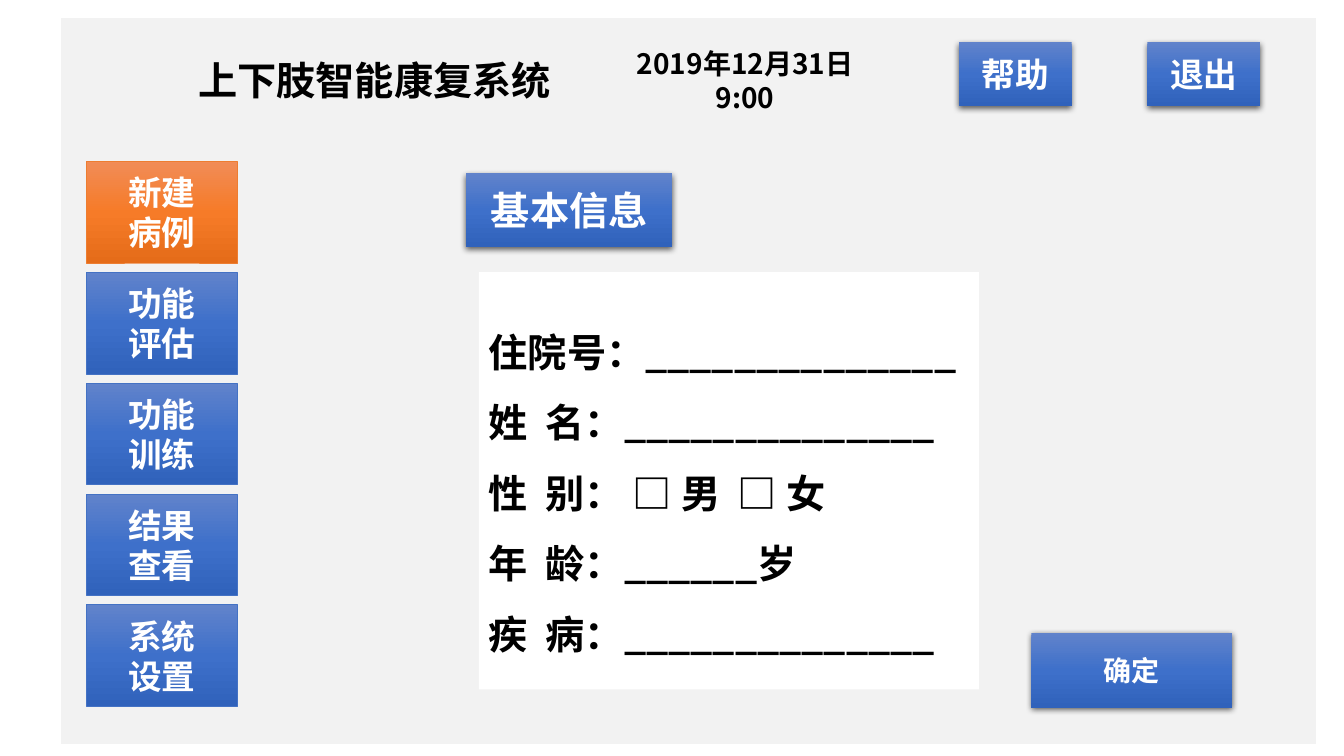
from copy import deepcopy
from dataclasses import dataclass

from lxml.etree import SubElement
from pptx import Presentation
from pptx.dml.color import RGBColor
from pptx.enum.shapes import MSO_SHAPE as Preset
from pptx.enum.text import MSO_ANCHOR as Anchor, PP_ALIGN as Align
from pptx.oxml.ns import qn
from pptx.util import Emu, Inches, Pt

FONT = "Noto Sans CJK SC"
BLACK, WHITE, PANEL_GREY = "000000", "FFFFFF", "F2F2F2"
BLUE = ("6183CB", "3E70CA", "3062BB")
ORANGE = ("F18C57", "F67B28", "E56C19")
BLUE_EDGE, ORANGE_EDGE = "4472C4", "ED7D31"

presentation = Presentation()
presentation.slide_width, presentation.slide_height = Inches(13.33), Inches(7.5)
slide = presentation.slides.add_slide(presentation.slide_layouts[6])


@dataclass(frozen=True)
class Area:
    """A rectangle in percent of the slide's width and height."""
    left: float
    top: float
    width: float
    height: float

    def lengths(self) -> list[Emu]:
        """Return left, top, width and height as slide lengths."""
        full_width, full_height = presentation.slide_width, presentation.slide_height
        return [Emu(round(full_width * self.left / 100)), Emu(round(full_height * self.top / 100)),
                Emu(round(full_width * self.width / 100)), Emu(round(full_height * self.height / 100))]


@dataclass(frozen=True)
class Button:
    """A gradient button; one without an edge casts a shadow."""
    area: Area
    lines: tuple[str, ...]
    size: int
    colours: tuple[str, str, str] = BLUE
    edge: str | None = None


@dataclass(frozen=True)
class Label:
    """A centred black heading."""
    area: Area
    text: str
    size: int


def colour(value: str) -> RGBColor:
    """Turn a hex string into a colour."""
    return RGBColor.from_string(value)


def write(shape, lines: tuple[str, ...], size: int, text_colour: str,
          align: Align = Align.CENTER, spacing: float | None = None) -> None:
    """Fill a shape with bold paragraphs, centred vertically."""
    frame = shape.text_frame
    frame.word_wrap, frame.vertical_anchor = True, Anchor.MIDDLE
    frame.text = "\n".join(lines)
    for paragraph in frame.paragraphs:
        paragraph.alignment, paragraph.line_spacing = align, spacing
        font = paragraph.font
        font.size, font.bold, font.name = Pt(size), True, FONT
        font.color.rgb = colour(text_colour)
        properties = paragraph._p.pPr.find(qn("a:defRPr"))
        SubElement(properties, qn("a:ea"), typeface=FONT)


def add_box(area: Area, edge: str | None = None, edge_width: float = 0.5):
    """Add a rectangle without shadow, outlined if an edge colour is given."""
    box = slide.shapes.add_shape(Preset.RECTANGLE, *area.lengths())
    box.shadow.inherit = False
    if edge:
        box.line.color.rgb, box.line.width = colour(edge), Pt(edge_width)
    else:
        box.line.fill.background()
    return box


def add_panel(area: Area, fill: str, edge: str | None = None):
    """Add a plainly filled rectangle."""
    panel = add_box(area, edge, 1)
    panel.fill.solid()
    panel.fill.fore_color.rgb = colour(fill)
    return panel


def fill_gradient(shape, colours: tuple[str, str, str]) -> None:
    """Fill a shape with an even three-colour gradient from top to bottom."""
    shape.fill.gradient()
    shape.fill.gradient_angle = 270
    stop_list = shape._element.spPr.find(qn("a:gradFill")).find(qn("a:gsLst"))
    stop_list.insert(1, deepcopy(stop_list[0]))
    for index, stop in enumerate(shape.fill.gradient_stops):
        stop.position, stop.color.rgb = index / 2, colour(colours[index])


def cast_shadow(shape) -> None:
    """Give a shape a soft black shadow below it."""
    effects = shape._element.spPr.find(qn("a:effectLst"))
    shadow = SubElement(effects, qn("a:outerShdw"), blurRad=str(Pt(4.5)), dist=str(Pt(1.5)),
                        dir="5400000", algn="ctr", rotWithShape="0")
    black = SubElement(shadow, qn("a:srgbClr"), val=BLACK)
    SubElement(black, qn("a:alpha"), val="63000")


def add_button(button: Button) -> None:
    """Draw a button with its caption."""
    shape = add_box(button.area, button.edge)
    fill_gradient(shape, button.colours)
    if button.edge is None:
        cast_shadow(shape)
    write(shape, button.lines, button.size, WHITE)


def add_label(label: Label) -> None:
    """Draw a heading as a text box."""
    write(slide.shapes.add_textbox(*label.area.lengths()), (label.text,), label.size, BLACK)


LABELS = (
    Label(Area(13.58, 4.27, 28.58, 12.67), "上下肢智能康复系统", 28),
    Label(Area(44.64, 7.2, 21.6, 6.8), "2019年12月31日 9:00", 20),
)
MENU = (("新建", "病例"), ("功能", "评估"), ("功能", "训练"), ("结果", "查看"), ("系统", "设置"))
MENU_TOP, MENU_STEP = 21.33, 14.67
BLANK = "_" * 14
FORM_LINES = (f"住院号:{BLANK}", f"姓  名:{BLANK}", "性  别: □ 男  □ 女",
              "年  龄:______岁", f"疾  病:{BLANK}")
FORM_LINES = tuple(line.replace(":", "\uff1a") for line in FORM_LINES)
ACTIONS = (
    Button(Area(71.34, 5.6, 8.4, 8.4), ("帮助",), 24),
    Button(Area(85.37, 5.6, 8.4, 8.4), ("退出",), 24),
    Button(Area(34.66, 22.93, 15.38, 9.73), ("基本信息",), 28),
    Button(Area(76.74, 83.73, 14.93, 9.87), ("确定",), 20),
)

add_panel(Area(4.5, 2.27, 93.47, 96.27), PANEL_GREY, WHITE)
for heading in LABELS:
    add_label(heading)
for row, caption in enumerate(MENU):
    menu_area = Area(6.45, MENU_TOP + row * MENU_STEP, 11.18, 13.47)
    active = row == 0
    add_button(Button(menu_area, caption, 24, ORANGE if active else BLUE,
                      ORANGE_EDGE if active else BLUE_EDGE))
form = add_panel(Area(35.63, 36, 37.21, 55.2), WHITE)
write(form, FORM_LINES, 28, BLACK, Align.LEFT, 1.5)
for action in ACTIONS:
    add_button(action)

presentation.save("out.pptx")
